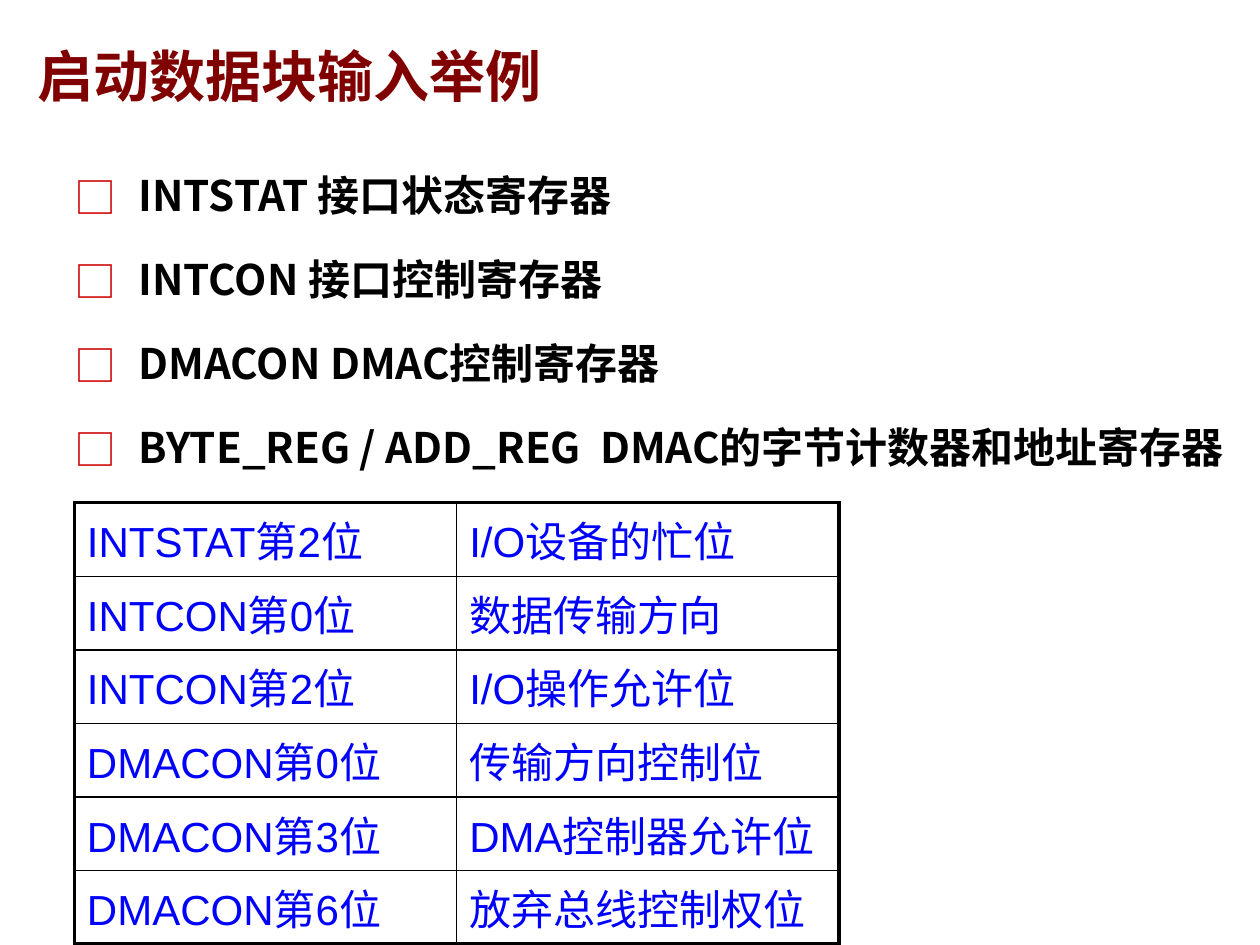
from lxml import etree
from pptx import Presentation
from pptx.dml.color import RGBColor
from pptx.enum import text as t
from pptx.oxml import ns
from pptx.util import Inches, Pt

MAROON = RGBColor(0x80, 0x00, 0x00)
RED = RGBColor(0xCC, 0x00, 0x00)
BLUE = RGBColor(0x00, 0x00, 0xFF)
BLACK = RGBColor(0x00, 0x00, 0x00)
CJK_FONT = "Noto Sans CJK SC"

TITLE = "启动数据块输入举例"
REGISTERS = [
    "INTSTAT 接口状态寄存器",
    "INTCON 接口控制寄存器",
    "DMACON DMAC控制寄存器",
    "BYTE_REG / ADD_REG  DMAC的字节计数器和地址寄存器",
]
BITS = [
    ("INTSTAT第2位", "I/O设备的忙位"),
    ("INTCON第0位", "数据传输方向"),
    ("INTCON第2位", "I/O操作允许位"),
    ("DMACON第0位", "传输方向控制位"),
    ("DMACON第3位", "DMA控制器允许位"),
    ("DMACON第6位", "放弃总线控制权位"),
]


def add_element(parent, tag, **attributes):
    return etree.SubElement(parent, ns.qn(tag), attributes)


def write(paragraph, text, size=24, font=CJK_FONT, color=BLACK, bold=False):
    run = paragraph.add_run()
    run.text = text
    run.font.size = Pt(size)
    run.font.bold = bold
    run.font.color.rgb = color
    run.font.name = font
    add_element(run.font._element, "a:ea", typeface=CJK_FONT)
    paragraph.alignment = t.PP_ALIGN.LEFT


def place(shape, left, top, width, height):
    shape.left, shape.top = Inches(left), Inches(top)
    shape.width, shape.height = Inches(width), Inches(height)
    shape.text_frame.auto_size = t.MSO_AUTO_SIZE.NONE
    shape.text_frame.word_wrap = True


def fill_title(shape, *box):
    place(shape, *box)
    shape.text_frame.vertical_anchor = t.MSO_ANCHOR.BOTTOM
    write(shape.text_frame.paragraphs[0], TITLE, size=32,
          font="Times New Roman", color=MAROON, bold=True)


def set_bullet(paragraph, character, color, indent):
    properties = paragraph._p.get_or_add_pPr()
    properties.set("marL", str(Inches(indent)))
    properties.set("indent", str(-Inches(indent)))
    bullet_color = add_element(properties, "a:buClr")
    add_element(bullet_color, "a:srgbClr", val=str(color))
    add_element(properties, "a:buFont", typeface=CJK_FONT)
    add_element(properties, "a:buChar", char=character)


def fill_list(shape, *box):
    place(shape, *box)
    frame = shape.text_frame
    frame.margin_top = Inches(0.01)
    for index, text in enumerate(REGISTERS):
        paragraph = frame.add_paragraph() if index else frame.paragraphs[0]
        write(paragraph, text, bold=True)
        paragraph.line_spacing = Pt(48)
        paragraph.space_before = Pt(0)
        set_bullet(paragraph, "□", RED, 0.51)


def set_borders(cell, widths):
    properties = cell._tc.get_or_add_tcPr()
    for side, width in widths.items():
        line = add_element(properties, f"a:ln{side}", w=str(Pt(width)))
        fill = add_element(line, "a:solidFill")
        add_element(fill, "a:srgbClr", val=str(BLACK))


def add_bit_table(slide, left, top, width, height):
    row_count, column_count = len(BITS), len(BITS[0])
    table = slide.shapes.add_table(
        row_count, column_count, Inches(left), Inches(top),
        Inches(width), Inches(height)).table
    table.first_row = table.horz_banding = False
    inner, outer = 1, 2.25
    for r, row in enumerate(BITS):
        for c, text in enumerate(row):
            cell = table.cell(r, c)
            # Thick lines around the table, thin lines inside
            set_borders(cell, {
                "L": outer if c == 0 else inner,
                "R": outer if c == column_count - 1 else inner,
                "T": outer if r == 0 else inner,
                "B": outer if r == row_count - 1 else inner,
            })
            cell.fill.background()
            write(cell.text_frame.paragraphs[0], text, font="Arial", color=BLUE)


def build_slide(presentation):
    slide = presentation.slides.add_slide(presentation.slide_layouts[1])
    fill_title(slide.shapes.title, 0.2, 0.17, 8.75, 0.74)
    fill_list(slide.placeholders[1], 0.49, 1.07, 9.5, 2.68)
    add_bit_table(slide, 0.59, 3.99, 6.07, 3.5)


presentation = Presentation()
presentation.slide_width, presentation.slide_height = Inches(10), Inches(7.5)
build_slide(presentation)
presentation.save("out.pptx")
